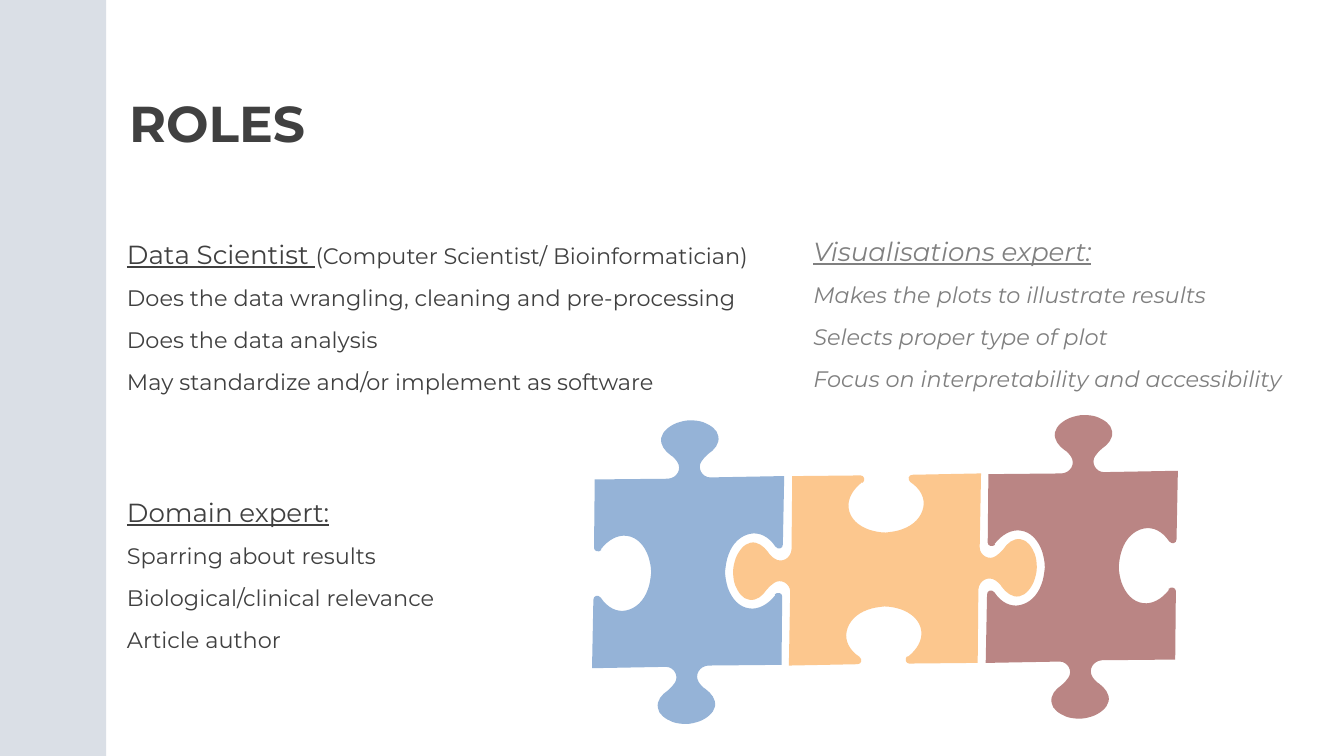
import math

import pptx
import pptx.dml.color
import pptx.enum.shapes
import pptx.enum.text
import pptx.oxml.ns
import pptx.util
from lxml import etree

Cm = pptx.util.Cm
Pt = pptx.util.Pt
RGBColor = pptx.dml.color.RGBColor
qn = pptx.oxml.ns.qn

FONT = "Montserrat"
DARK = RGBColor(0x40, 0x40, 0x40)
GREY = RGBColor(0x80, 0x80, 0x80)
BLUE = RGBColor(0x95, 0xB3, 0xD7)
ORANGE = RGBColor(0xFC, 0xC7, 0x8E)
RED = RGBColor(0x8C, 0x35, 0x32)
SIDEBAR = RGBColor(0xD3, 0xD9, 0xE2)

# Half of a puzzle piece around its centre, as Bezier curves; a straight edge
# repeats its end point. Turning it by 180 degrees gives the other half.
PIECE_UNITS = 452
HALF_PIECE = [
    (27, 218), (38, 210), (40, 200),
    (42, 189), (34, 180), (26, 174),
    (22, 172), (18, 167), (16, 164),
    (9, 153), (17, 140), (30, 139),
    *[(139, 138)] * 3,
    *[(140, 36)] * 3,
    (140, 31), (133, 29), (129, 33),
    *[(130, 34)] * 3,
    (119, 48), (105, 56), (91, 54),
    (76, 52), (65, 40), (59, 23),
    (57, 16), (55, 8), (55, -1),
    (56, -10), (57, -18), (60, -26),
    (66, -43), (78, -54), (92, -57),
    (106, -60), (120, -53), (130, -38),
    *[(130, -38)] * 3,
    (134, -33), (141, -35), (141, -41),
    *[(143, -143)] * 3,
    *[(33, -141)] * 3,
    (21, -141), (13, -155), (20, -165),
    (23, -169), (26, -173), (30, -176),
    (39, -182), (47, -191), (45, -202),
    (44, -212), (33, -219), (23, -223),
    (18, -225), (10, -226), (3, -226),
    (-4, -226), (-11, -224), (-17, -222),
]
PIECE = HALF_PIECE + [(-x, -y) for x, y in HALF_PIECE]
PIECE_ROTATION = 315


def paint(shape, color, opacity=100):
    shape.shadow.inherit = False
    shape.line.fill.background()
    shape.fill.solid()
    shape.fill.fore_color.rgb = color
    if opacity < 100:
        color_element = shape.element.find(".//" + qn("a:srgbClr"))
        alpha = etree.SubElement(color_element, qn("a:alpha"))
        alpha.set("val", str(opacity * 1000))


def style_run(run, size, color, bold=False, italic=False, underline=False):
    font = run.font
    font.name = FONT
    font.size = Pt(size)
    font.color.rgb = color
    font.bold = bold
    font.italic = italic
    font.underline = underline


def remove_insets(text_frame):
    text_frame.margin_left = text_frame.margin_right = 0
    text_frame.margin_top = text_frame.margin_bottom = 0


def place_title(slide, text, left, top, width, height):
    title = slide.shapes.title
    title.left, title.top, title.width, title.height = left, top, width, height
    text_frame = title.text_frame
    text_frame.text = text
    text_frame.auto_size = pptx.enum.text.MSO_AUTO_SIZE.NONE
    text_frame.vertical_anchor = pptx.enum.text.MSO_ANCHOR.TOP
    remove_insets(text_frame)
    paragraph = text_frame.paragraphs[0]
    paragraph.alignment = pptx.enum.text.PP_ALIGN.LEFT
    paragraph.line_spacing = Pt(78.1)
    style_run(paragraph.runs[0], 54, DARK, bold=True)


def add_role(slide, heading, tasks, left, top, width, height,
             note="", color=DARK, italic=False, inset=True):
    """Add an underlined role name, an optional note after it and its tasks."""
    text_box = slide.shapes.add_textbox(left, top, width, height)
    text_frame = text_box.text_frame
    text_frame.word_wrap = True
    if not inset:
        remove_insets(text_frame)
    text_frame.text = "\n".join([heading, *tasks])
    for paragraph in text_frame.paragraphs:
        paragraph.line_spacing = Pt(44.8)
        style_run(paragraph.runs[0], 24, color, italic=italic)
    first = text_frame.paragraphs[0]
    style_run(first.runs[0], 28, color, italic=italic, underline=True)
    if note:
        run = first.add_run()
        run.text = note
        style_run(run, 24, color, italic=italic)


def bend_lines(shape):
    """Turn each three line segments of a freeform into one Bezier curve."""
    lines = list(shape.element.iter(qn("a:lnTo")))
    for first, second, third in zip(lines[::3], lines[1::3], lines[2::3]):
        curve = etree.Element(qn("a:cubicBezTo"))
        first.addprevious(curve)
        for line in (first, second, third):
            curve.append(line[0])
            line.getparent().remove(line)


def add_piece(slide, left, top, size, color, opacity=100, knobs_sideways=False):
    unit = size / PIECE_UNITS
    cosine = math.cos(math.radians(PIECE_ROTATION))
    sine = math.sin(math.radians(PIECE_ROTATION))
    points = [(y, x) for x, y in PIECE] if knobs_sideways else PIECE
    points = [(round(left + size / 2 + (x * cosine + y * sine) * unit),
               round(top + size / 2 + (y * cosine - x * sine) * unit))
              for x, y in points]
    builder = slide.shapes.build_freeform(*points[-1])
    builder.add_line_segments(points, close=True)
    piece = builder.convert_to_shape()
    bend_lines(piece)
    piece.rotation = PIECE_ROTATION
    paint(piece, color, opacity)


def add_puzzle(slide, left, top, size):
    """Add three interlocking pieces on a slightly rising line."""
    pieces = [(BLUE, 100, False), (ORANGE, 100, True), (RED, 60, False)]
    for index, (color, opacity, knobs_sideways) in enumerate(pieces):
        add_piece(slide, left + index * Cm(7.44), top - index * Cm(0.1), size,
                  color, opacity, knobs_sideways)


def add_sidebar(slide, left, top, width, height):
    sidebar = slide.shapes.add_shape(
        pptx.enum.shapes.MSO_SHAPE.RECTANGLE, left, top, width, height)
    paint(sidebar, SIDEBAR, 84)


def main():
    presentation = pptx.Presentation()
    presentation.slide_width = Cm(50.8)
    presentation.slide_height = Cm(28.58)
    slide = presentation.slides.add_slide(presentation.slide_layouts[5])

    add_role(slide, "Visualisations expert:",
             ["Makes the plots to illustrate results",
              "Selects proper type of plot",
              "Focus on interpretability and accessibility"],
             Cm(30.74), Cm(8.5), Cm(20.14), Cm(6.22),
             color=GREY, italic=True, inset=False)
    add_puzzle(slide, Cm(20.27), Cm(15.89), Cm(11.48))
    place_title(slide, "ROLES", Cm(4.88), Cm(3), Cm(26.11), Cm(2.64))
    add_role(slide, "Data Scientist ",
             ["Does the data wrangling, cleaning and pre-processing",
              "Does the data analysis",
              "May standardize and/or implement as software"],
             Cm(4.55), Cm(8.48), Cm(24.31), Cm(6.48),
             note="(Computer Scientist/ Bioinformatician)")
    add_role(slide, "Domain expert:",
             ["Sparring about results",
              "Biological/clinical relevance",
              "Article author"],
             Cm(4.55), Cm(18.24), Cm(14.94), Cm(6.5))
    add_sidebar(slide, 0, 0, Cm(4.01), presentation.slide_height)

    presentation.save("out.pptx")


if __name__ == "__main__":
    main()
